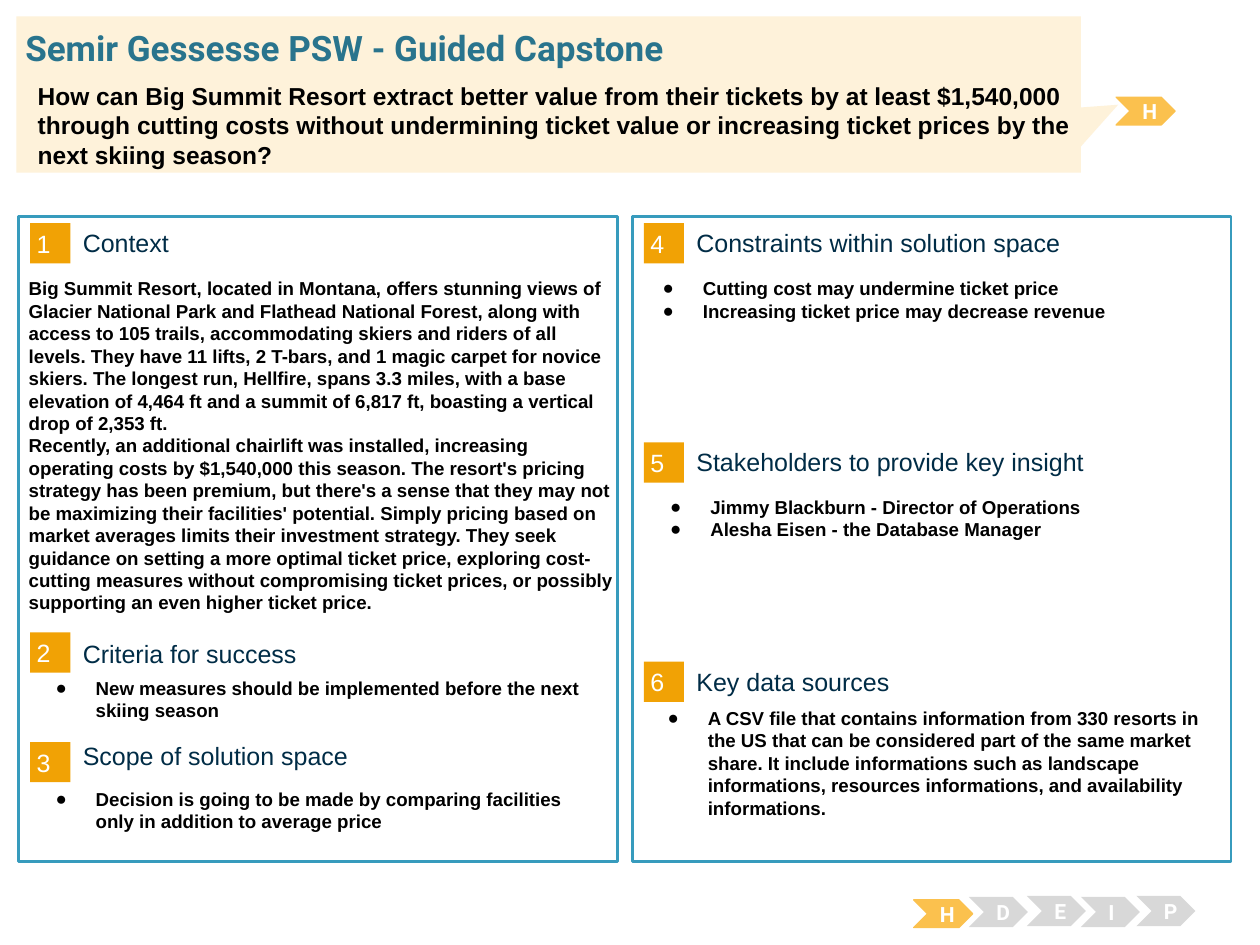
from lxml import etree
from pptx import Presentation
from pptx.dml.color import RGBColor
from pptx.enum.shapes import MSO_SHAPE
from pptx.enum.text import MSO_ANCHOR, MSO_AUTO_SIZE, PP_ALIGN
from pptx.oxml.ns import qn
from pptx.util import Cm, Pt

RECTANGLE, CHEVRON = MSO_SHAPE.RECTANGLE, MSO_SHAPE.CHEVRON
CALLOUT = MSO_SHAPE.RECTANGULAR_CALLOUT
TOP, MIDDLE = MSO_ANCHOR.TOP, MSO_ANCHOR.MIDDLE
LEFT, CENTER = PP_ALIGN.LEFT, PP_ALIGN.CENTER
WHITE, BLACK, NAVY, TEAL = "FFFFFF", "000000", "002C46", "29748D"
BLUE, ORANGE, AMBER, CREAM, GREY = "379BBD", "F1A205", "FBC14E", "FEF2DA", "D8D8D8"


def add_box(kind, box, fill, line=None, line_width=0.75):
    shape = slide.shapes.add_shape(kind, *map(Cm, box))
    shape.shadow.inherit = False
    shape.fill.solid()
    shape.fill.fore_color.rgb = RGBColor.from_string(fill)
    if line:
        shape.line.color.rgb = RGBColor.from_string(line)
        shape.line.width = Pt(line_width)
    else:
        shape.line.fill.background()
    return shape


def write(shape, text, size, color, bold=False, font="Arial", anchor=TOP,
          align=LEFT, inset=(0.25, 0.13), bullets=False):
    frame = shape.text_frame
    frame.text = text
    frame.word_wrap = True
    frame.auto_size = MSO_AUTO_SIZE.NONE
    frame.vertical_anchor = anchor
    frame.margin_left = frame.margin_right = Cm(inset[0])
    frame.margin_top = frame.margin_bottom = Cm(inset[1])
    for paragraph in frame.paragraphs:
        paragraph.alignment = align
        for run in paragraph.runs:
            run.font.size = Pt(size)
            run.font.name = font
            run.font.bold = bold
            run.font.color.rgb = RGBColor.from_string(color)
        if bullets:
            properties = paragraph._p.get_or_add_pPr()
            properties.set("marL", str(Cm(1.27)))
            properties.set("indent", str(-Cm(0.81)))
            bullet_color = etree.SubElement(properties, qn("a:buClr"))
            etree.SubElement(bullet_color, qn("a:srgbClr"), val=color)
            etree.SubElement(properties, qn("a:buFont"), typeface="Arial")
            etree.SubElement(properties, qn("a:buChar"), char="●")


presentation = Presentation()
presentation.slide_width, presentation.slide_height = Cm(25.4), Cm(19.05)
slide = presentation.slides.add_slide(presentation.slide_layouts[5])

# Two framed columns
for left in (0.38, 12.75):
    add_box(RECTANGLE, (left, 4.37, 12.07, 13), WHITE, BLUE, 1.5)

# Numbered sections: column offset, badge top, heading shift, heading, body box, body
resort_facts = (
    "Big Summit Resort, located in Montana, offers stunning views of Glacier "
    "National Park and Flathead National Forest, along with access to 105 trails, "
    "accommodating skiers and riders of all levels. They have 11 lifts, 2 T-bars, "
    "and 1 magic carpet for novice skiers. The longest run, Hellfire, spans 3.3 "
    "miles, with a base elevation of 4,464 ft and a summit of 6,817 ft, boasting a "
    "vertical drop of 2,353 ft.")
pricing_problem = (
    "Recently, an additional chairlift was installed, increasing operating costs by "
    "$1,540,000 this season. The resort's pricing strategy has been premium, but "
    "there's a sense that they may not be maximizing their facilities' potential. "
    "Simply pricing based on market averages limits their investment strategy. They "
    "seek guidance on setting a more optimal ticket price, exploring cost-cutting "
    "measures without compromising ticket prices, or possibly supporting an even "
    "higher ticket price.")
sections = [
    (0, 4.5, 0.07, "Context", (0.33, 5.46, 12.37, 6.6),
     "\n".join([resort_facts, pricing_problem])),
    (0, 12.75, 0.1, "Criteria for success", (0.41, 13.51, 12.01, 1.07),
     "New measures should be implemented before the next skiing season"),
    (0, 14.96, -0.05, "Scope of solution space", (0.41, 15.75, 12.01, 1.37),
     "Decision is going to be made by comparing facilities only in addition to "
     "average price"),
    (12.37, 4.5, 0.07, "Constraints within solution space", (12.65, 5.46, 12.01, 3),
     "Cutting cost may undermine ticket price\n"
     "Increasing ticket price may decrease revenue"),
    (12.37, 8.92, 0.07, "Stakeholders to provide key insight", (12.8, 9.86, 12.01, 3),
     "Jimmy Blackburn - Director of Operations\n"
     "Alesha Eisen - the Database Manager"),
    (12.37, 13.34, 0.07, "Key data sources", (12.75, 14.12, 12.01, 3),
     "A CSV file that contains information from 330 resorts in the US that can be "
     "considered part of the same market share. It include informations such as "
     "landscape informations, resources informations, and availability informations."),
]
for number, (offset, top, shift, heading, body_box, body) in enumerate(sections, 1):
    badge = add_box(RECTANGLE, (offset + 0.61, top, 0.81, 0.81), ORANGE)
    write(badge, str(number), 14.3, WHITE, anchor=MIDDLE, inset=(0.13, 0.13))
    heading_box = (offset + 1.67, top + shift, 9.98, 0.64)
    label = slide.shapes.add_textbox(*map(Cm, heading_box))
    write(label, heading, 14.3, NAVY, anchor=MIDDLE, inset=(0, 0))
    body_text = slide.shapes.add_textbox(*map(Cm, body_box))
    write(body_text, body, 10.7, BLACK, bold=True, bullets=number > 1)

# Stage chevrons: the active stage is amber
stages = [("H", 18.42, 18.14), ("D", 19.53, 18.08), ("E", 20.7, 18.06),
          ("I", 21.79, 18.08), ("P", 22.91, 18.06), ("H", 22.5, 1.96)]
for letter, left, top in stages:
    if letter == "H":
        chevron = add_box(CHEVRON, (left, top, 1.19, 0.56), AMBER, AMBER)
    else:
        chevron = add_box(CHEVRON, (left, top, 1.19, 0.61), GREY)
    write(chevron, letter, 12, WHITE, bold=True, font="Roboto", anchor=MIDDLE,
          align=CENTER)

# Problem statement callout with title and question
callout = add_box(CALLOUT, (0.33, 0.33, 21.46, 3.15), CREAM)
callout.adjustments[0], callout.adjustments[1] = 0.535, 0.066

title = slide.shapes.title
title.left, title.top, title.width, title.height = map(Cm, (0.51, 0.53, 24.43, 0.86))
write(title, "Semir Gessesse PSW - Guided Capstone", 20, TEAL, bold=True,
      font="Roboto", inset=(0, 0))
slide.shapes._spTree.append(title._element)

question = slide.shapes.add_textbox(*map(Cm, (0.51, 1.5, 21.82, 2.29)))
write(question, "How can Big Summit Resort extract better value from their tickets by "
      "at least $1,540,000 through cutting costs without undermining ticket value or "
      "increasing ticket prices by the next skiing season?", 14, BLACK, bold=True)

presentation.save("out.pptx")
